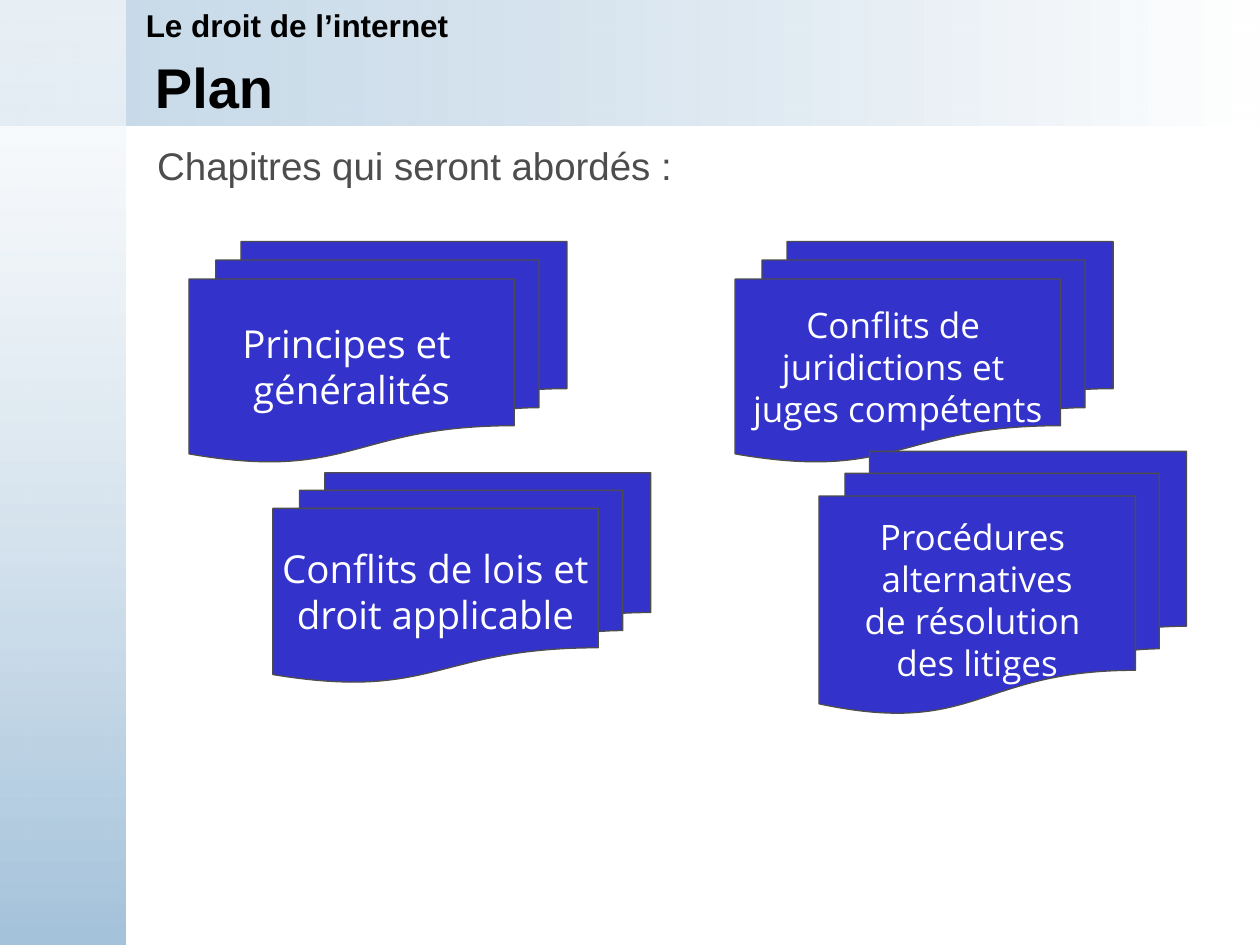
from lxml.etree import SubElement
from pptx import Presentation
from pptx.dml.color import RGBColor
from pptx.enum.shapes import MSO_SHAPE as Shape
from pptx.enum.text import MSO_ANCHOR as Anchor, PP_ALIGN as Align
from pptx.oxml.ns import qn
from pptx.util import Cm, Pt

BLACK = RGBColor(0x00, 0x00, 0x00)
WHITE = RGBColor(0xFF, 0xFF, 0xFF)
GREY = RGBColor(0x4D, 0x4D, 0x4D)
BLUE = RGBColor(0x33, 0x33, 0xCC)
PALE_BLUE = RGBColor(0xA5, 0xC3, 0xDB)

# left, top, width, height in cm, text size, lines
CHAPTERS = [
    (5.5, 9.53, 7.62, 4.23, 22, [" Conflits de lois et ", "droit applicable"]),
    (3.81, 4.87, 7.62, 4.45, 22, ["Principes et ", "généralités"]),
    (14.82, 4.87, 7.62, 4.45, 20,
     ["Conflits de ", "juridictions et ", "juges compétents"]),
    (16.51, 9.1, 7.41, 5.29, 20,
     ["Procédures ", "alternatives", "de résolution ", "des litiges"]),
]


def style(para, size, color, name="Arial", bold=False, align=Align.LEFT):
    para.alignment = align
    font = para.font
    font.name, font.size, font.bold = name, Pt(size), bold
    font.color.rgb = color


def add_band(slide, width, height, colors, opacity, angle):
    """Add a gradient band whose first colour is partly transparent."""
    band = slide.shapes.add_shape(Shape.RECTANGLE, 0, 0, Cm(width), Cm(height))
    band.shadow.inherit = False
    band.line.fill.background()
    band.fill.gradient()
    band.fill.gradient_angle = angle
    for stop, color in zip(band.fill.gradient_stops, colors):
        stop.color.rgb = color
    first_color = next(band._element.spPr.iter(qn("a:srgbClr")))
    SubElement(first_color, qn("a:alpha"), val=str(opacity * 1000))


def place_title(slide, text):
    """Fill the title and bring it in front of the bands."""
    title = slide.shapes.title
    title.left, title.top = Cm(2.87), Cm(1.12)
    title.width, title.height = Cm(21.46), Cm(1.24)
    title.text_frame.text = text
    title.text_frame.vertical_anchor = Anchor.MIDDLE
    style(title.text_frame.paragraphs[0], 32, BLACK, bold=True)
    slide.shapes._spTree.append(title._element)


def add_text(slide, left, top, width, height, text, size, color, bold=False):
    box = slide.shapes.add_textbox(Cm(left), Cm(top), Cm(width), Cm(height))
    box.text_frame.word_wrap = True
    box.text_frame.text = text
    style(box.text_frame.paragraphs[0], size, color, bold=bold)


def add_chapter(slide, left, top, width, height, size, lines):
    stack = slide.shapes.add_shape(
        Shape.FLOWCHART_MULTIDOCUMENT, Cm(left), Cm(top), Cm(width), Cm(height))
    stack.shadow.inherit = False
    stack.fill.solid()
    stack.fill.fore_color.rgb = BLUE
    stack.line.color.rgb = GREY
    stack.line.width = Pt(0.75)
    frame = stack.text_frame
    frame.word_wrap = False
    frame.vertical_anchor = Anchor.MIDDLE
    frame.text = "\n".join(lines)
    for para in frame.paragraphs:
        style(para, size, WHITE, "Open Sans", align=Align.CENTER)


def main():
    deck = Presentation()
    deck.slide_width, deck.slide_height = Cm(25.4), Cm(19.05)
    slide = deck.slides.add_slide(deck.slide_layouts[5])
    add_band(slide, 25.4, 2.54, (PALE_BLUE, WHITE), 62, 0)
    add_band(slide, 2.54, 19.05, (WHITE, PALE_BLUE), 59, 270)
    place_title(slide, "Plan")
    add_text(slide, 2.92, 2.74, 21.16, 1.19,
             "Chapitres qui seront abordés :", 22, GREY)
    add_text(slide, 2.69, 0, 22.71, 1.02,
             "Le droit de l’internet", 18, BLACK, bold=True)
    for chapter in CHAPTERS:
        add_chapter(slide, *chapter)
    deck.save("out.pptx")


if __name__ == "__main__":
    main()
